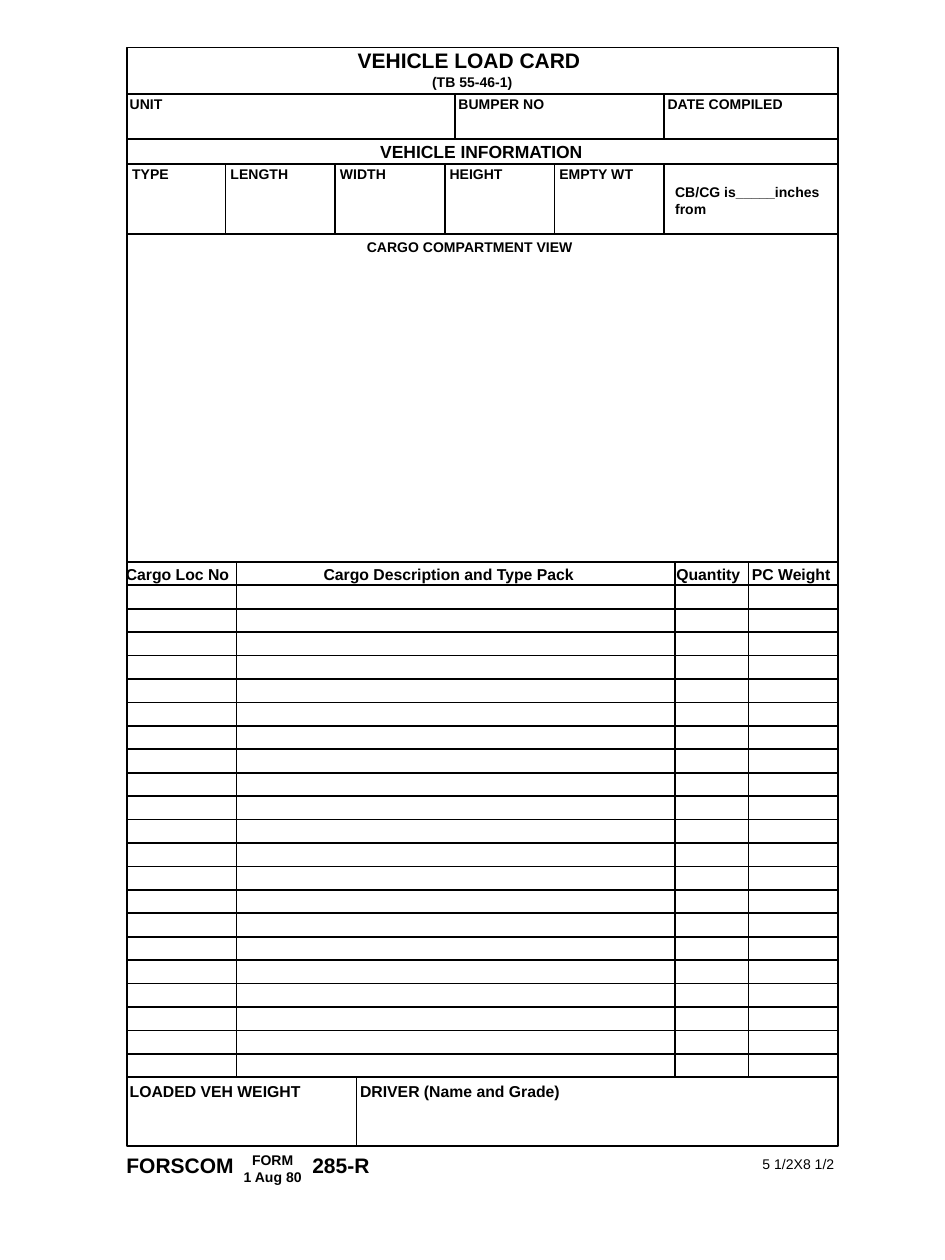
import pptx
import pptx.util
import pptx.dml.color
import pptx.enum.shapes
import pptx.enum.text
import pptx.oxml

Pt = pptx.util.Pt
LEFT, RIGHT = 72.7, 478.8
TOP, BASE = 27.2, 655
HEAD, FOOT = 321.1, 615.6
ROWS = 22
INK = "000000"


def color(code):
    return pptx.dml.color.RGBColor.from_string(code)


def stroke(item):
    item.line.color.rgb = color(INK)
    item.line.width = Pt(1)


def box(slide, top, base):
    kind = pptx.enum.shapes.MSO_SHAPE.RECTANGLE
    item = slide.shapes.add_shape(
        kind, Pt(LEFT), Pt(top), Pt(RIGHT - LEFT), Pt(base - top))
    item.shadow.inherit = False
    item.fill.background()
    stroke(item)


def rule(slide, x1, y1, x2, y2):
    kind = pptx.enum.shapes.MSO_CONNECTOR.STRAIGHT
    item = slide.shapes.add_connector(kind, Pt(x1), Pt(y1), Pt(x2), Pt(y2))
    stroke(item)
    props = item._element.spPr
    props.append(pptx.oxml.parse_xml(
        '<a:effectLst xmlns:a='
        '"http://schemas.openxmlformats.org/drawingml/2006/main"/>'))


def across(slide, y):
    rule(slide, LEFT, y, RIGHT, y)


def down(slide, spots, top, base):
    for x in spots:
        rule(slide, x, top, x, base)


def label(slide, text, x, y, width, size=8, bold=True, wrap=False, align="LEFT"):
    lines = text.split("\n")
    high = 7.2 + 1.2 * size * len(lines)
    item = slide.shapes.add_textbox(Pt(x), Pt(y), Pt(width), Pt(high))
    frame = item.text_frame
    frame.word_wrap = wrap
    frame.auto_size = pptx.enum.text.MSO_AUTO_SIZE.SHAPE_TO_FIT_TEXT
    frame.text = text
    for part in frame.paragraphs:
        part.alignment = getattr(pptx.enum.text.PP_ALIGN, align)
        font = part.runs[0].font
        font.name = "Arial"
        font.size = Pt(size)
        font.bold = bold
        font.color.rgb = color(INK)


def labels(slide, cells, y, size):
    for text, x, width in cells:
        label(slide, text, x, y, width, size=size)


def grid(slide):
    box(slide, TOP, BASE)
    box(slide, 53.8, 79.6)
    for y in (93.6, 133.9):
        across(slide, y)
    for row in range(ROWS + 1):
        across(slide, HEAD + row * (FOOT - HEAD) / ROWS)
    down(slide, (260.1, 379.4), 54, 79.2)
    down(slide, [128.9 + 62.64 * col for col in range(5)], 93.6, 133.2)
    down(slide, (135.2, 385.9, 427.7), 321.8, 614.9)
    down(slide, [203.8], FOOT, BASE)


def titles(slide):
    label(slide, "VEHICLE LOAD CARD", 197.3, 23.8, 143, size=12)
    label(slide, "(TB 55-46-1)", 239.8, 38.5, 62)
    label(slide, "VEHICLE INFORMATION", 210.2, 77, 132, size=10)
    label(slide, "CARGO COMPARTMENT VIEW", 202.5, 132.5, 134)


def fields(slide):
    labels(slide, [("UNIT", 67, 35), ("BUMPER NO", 254.9, 65),
                   ("DATE COMPILED", 374.4, 82)], 51.1, 8)
    labels(slide, [("TYPE", 68.4, 37), ("LENGTH", 124.6, 49),
                   ("WIDTH", 187.2, 44), ("HEIGHT", 249.8, 46),
                   ("EMPTY WT", 312.5, 59)], 91.2, 8)
    label(slide, "CB/CG is_____inches\nfrom", 378.7, 101.5, 99)
    labels(slide, [("Cargo Loc No", 64.8, 75),
                   ("Cargo Description and Type Pack", 177.8, 159),
                   ("Quantity", 379.4, 53),
                   ("PC Weight", 422.6, 61)], 319, 9)
    labels(slide, [("LOADED VEH WEIGHT", 67, 115),
                   ("DRIVER (Name and Grade)", 198.7, 130)], 614.6, 9)


def footer(slide):
    labels(slide, [("FORSCOM", 65.2, 78), ("285-R", 171.4, 50)], 655.2, 12)
    label(slide, "FORM\n1 Aug 80", 127.4, 654.5, 56.9, wrap=True, align="CENTER")
    label(slide, "5 1/2X8 1/2", 428.6, 656.6, 57, bold=False)


def main():
    deck = pptx.Presentation()
    deck.slide_width, deck.slide_height = Pt(540), Pt(720)
    slide = deck.slides.add_slide(deck.slide_layouts[6])
    grid(slide)
    titles(slide)
    fields(slide)
    footer(slide)
    deck.save("out.pptx")


if __name__ == "__main__":
    main()
